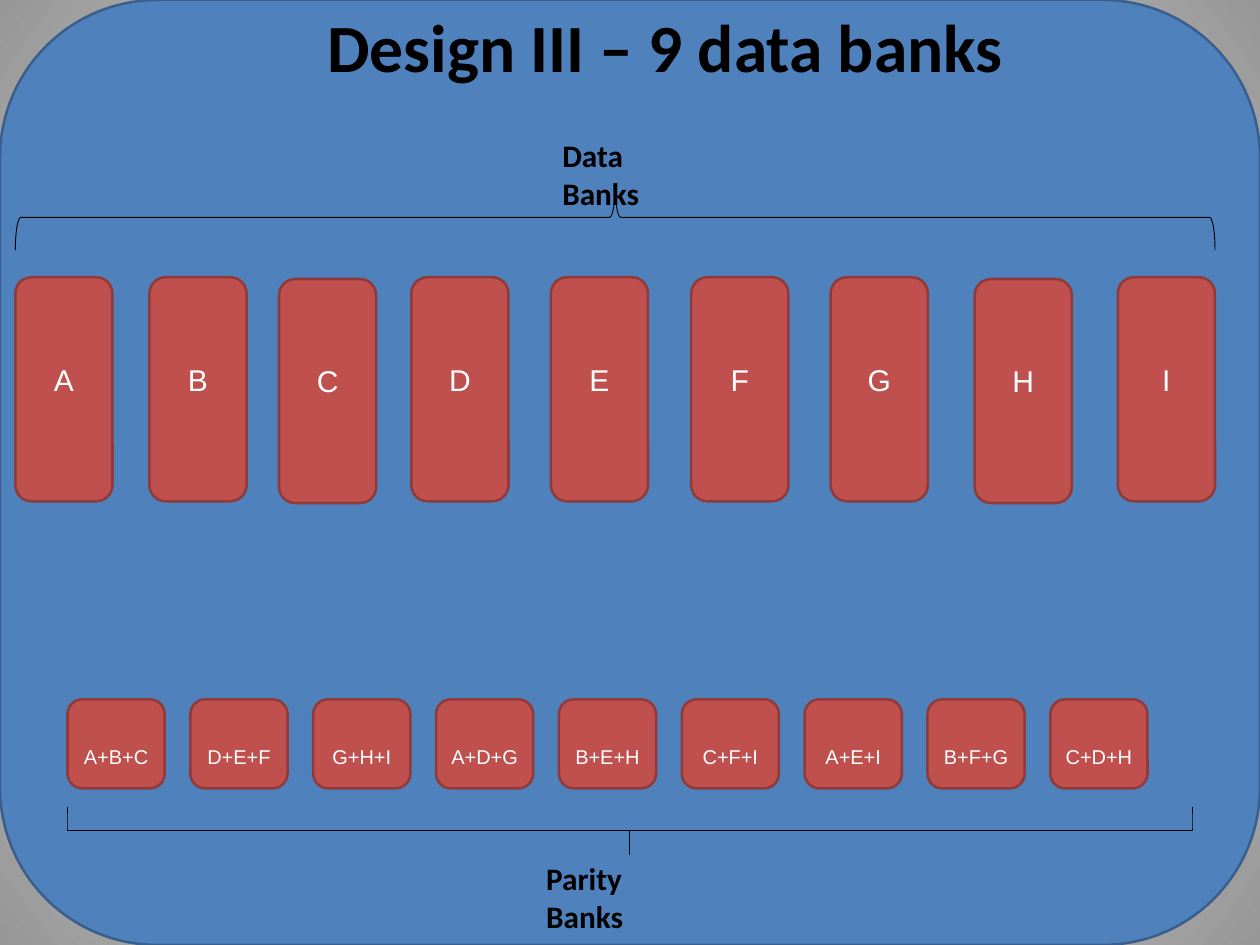
from pptx import Presentation, util as u
from pptx.dml.color import RGBColor
from pptx.enum import shapes, text
from pptx.oxml import parse_xml

KIND = shapes.MSO_SHAPE
PAR = text.PP_ALIGN
W, H = 14, 10.5

deck = Presentation()
deck.slide_width, deck.slide_height = u.Inches(W), u.Inches(H)
slide = deck.slides.add_slide(deck.slide_layouts[5])
tree = slide.shapes

back = slide.background.fill
back.gradient()
for stop, tone in zip(back.gradient_stops, ("FFFFFF", "979797")):
    stop.color.rgb = RGBColor.from_string(tone)
grad = slide.background._cSld.bg.bgPr[0]
grad.remove(grad[-1])
grad.append(parse_xml(
    '<a:path xmlns:a="http://schemas.openxmlformats.org/drawingml/2006/main" path="circle">'
    '<a:fillToRect l="50000" t="50000" r="50000" b="50000"/></a:path>'))


def draw(kind, box, line, width, fill=None, turn=0):
    item = tree.add_shape(kind, *map(u.Inches, box))
    item.shadow.inherit = False
    item.rotation = turn
    item.line.color.rgb = RGBColor.from_string(line)
    item.line.width = u.Pt(width)
    if fill:
        item.fill.solid()
        item.fill.fore_color.rgb = RGBColor.from_string(fill)
    else:
        item.fill.background()
    return item


def write(item, words, size, font="Calibri", color="000000", bold=True,
          align=PAR.CENTER, pads=(0.1, 0.05, 0.1, 0.05)):
    frame = item.text_frame
    frame.word_wrap = True
    frame.auto_size = text.MSO_AUTO_SIZE.NONE
    frame.vertical_anchor = text.MSO_ANCHOR.TOP
    (frame.margin_left, frame.margin_top,
     frame.margin_right, frame.margin_bottom) = map(u.Inches, pads)
    para = frame.paragraphs[0]
    para.alignment = align
    run = para.add_run()
    run.text = words
    run.font.size, run.font.name, run.font.bold = u.Pt(size), font, bold
    run.font.color.rgb = RGBColor.from_string(color)


draw(KIND.ROUNDED_RECTANGLE, (0, 0, W, H), "3A5F8C", 2, "4F81BD")

data = list(zip("ABCDEFGHI", (0.17, 1.66, 3.1, 4.57, 6.12, 7.68, 9.23, 10.83, 12.42)))
sums = "A+B+C D+E+F G+H+I A+D+G B+E+H C+F+I A+E+I B+F+G C+D+H".split()
pairs = [(name, 0.75 + 1.365 * col) for col, name in enumerate(sums)]
for row, top, high, size, drop in ((data, 3.08, 2.49, 24, 0.88),
                                   (pairs, 7.77, 0.99, 16, 0.45)):
    for name, left in row:
        shift = 0.02 if name in ("C", "H") else 0
        bank = draw(KIND.ROUNDED_RECTANGLE, (left, top + shift, 1.08, high),
                    "8E3B39", 2, "C0504D")
        write(bank, name, size, font="Arial", color="FFFFFF", bold=False,
              pads=(0.07, drop, 0.07, 0.03))

draw(KIND.LEFT_BRACE, (6.47, -4.25, 0.73, 13.33), "000000", 0.75, turn=90)
brace = draw(KIND.LEFT_BRACE, (6.73, 2.98, 0.53, 12.5), "000000", 0.75, turn=270)
brace.adjustments[0] = 0

for words, left, top, wide in (("Data Banks", 6.15, 1.47, 1.56),
                               ("Parity Banks", 5.97, 9.5, 1.68)):
    label = tree.add_textbox(*map(u.Inches, (left, top, wide, 0.4)))
    write(label, words, 25, align=PAR.LEFT)

title = tree.title
title.left, title.top, title.width, title.height = map(u.Inches, (2.75, 0, 9.28, 1.01))
write(title, "Design III – 9 data banks", 54)
tree._spTree.append(title._element)

deck.save("out.pptx")
